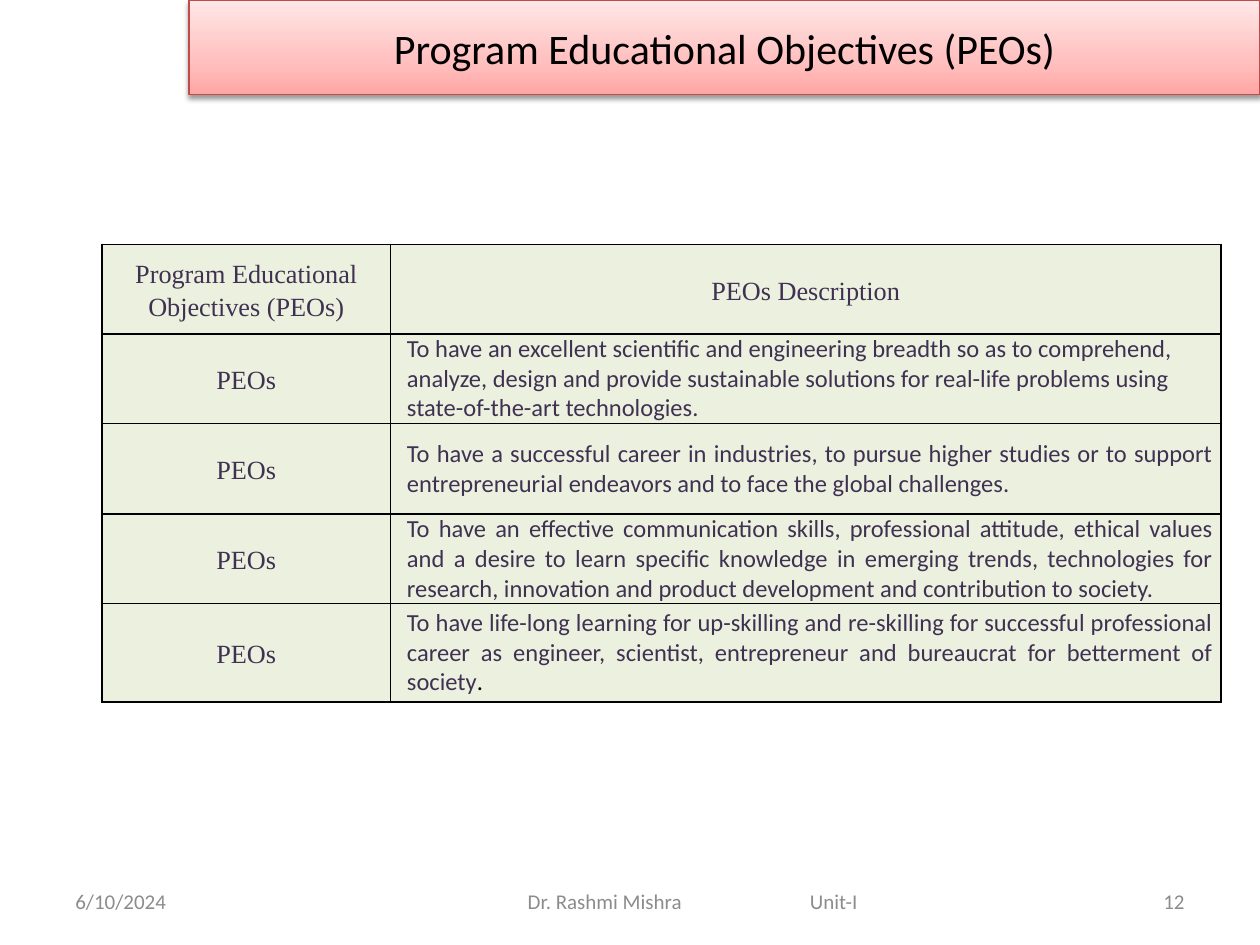
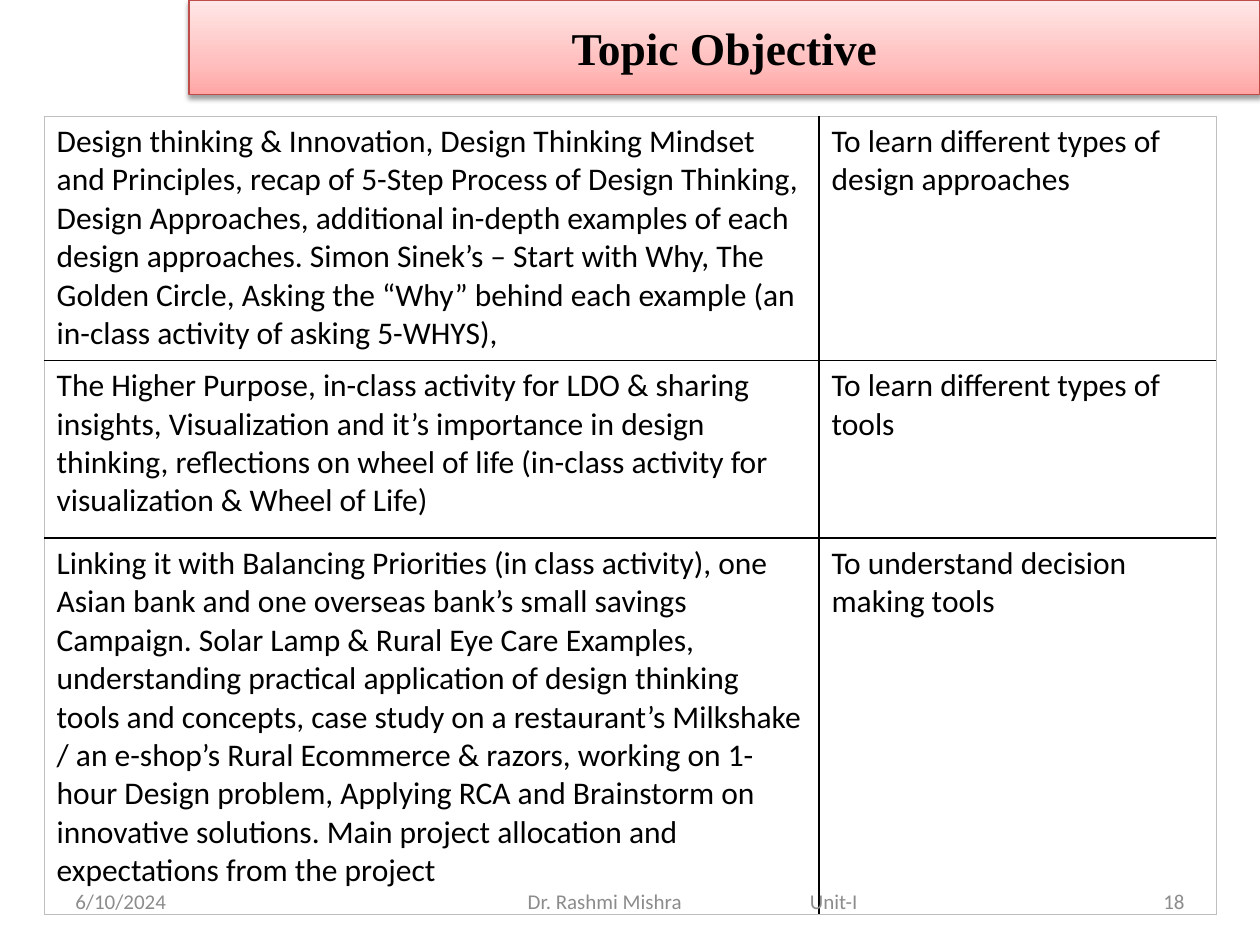
from lxml.etree import SubElement
from pptx import Presentation
from pptx.dml.color import RGBColor
from pptx.enum.text import MSO_ANCHOR, MSO_AUTO_SIZE, PP_ALIGN
from pptx.oxml import parse_xml
from pptx.oxml.ns import nsdecls, qn
from pptx.util import Inches, Pt

# Shared colours and fonts
BLACK = RGBColor(0x00, 0x00, 0x00)
PURPLE = RGBColor(0x40, 0x31, 0x52)
GREY = RGBColor(0x8C, 0x8C, 0x8C)
PALE_GREY = RGBColor(0xBF, 0xBF, 0xBF)
PALE_GREEN = RGBColor(0xEB, 0xF1, 0xDE)
BAND_LINE = RGBColor(0xBF, 0x4C, 0x48)
BAND_STOPS = [(0, RGBColor(0xFF, 0xA6, 0xA5)),
              (35, RGBColor(0xFF, 0xC0, 0xBF)),
              (100, RGBColor(0xFF, 0xE7, 0xE7))]
SANS, SERIF = "Calibri", "Times New Roman"

# Content
DATE, AUTHOR, UNIT = "6/10/2024", "Dr. Rashmi Mishra", "Unit-I"

PEO_TITLE = "Program Educational Objectives (PEOs)"
PEO_HEADER = (PEO_TITLE, "PEOs Description")
PEO_LABEL = "PEOs"
PEO_TEXTS = [
    "To have an excellent scientific and engineering breadth so as to comprehend, "
    "analyze, design and provide sustainable solutions for real-life problems using "
    "state-of-the-art technologies.",
    "To have a successful career in industries, to pursue higher studies or to support "
    "entrepreneurial endeavors and to face the global challenges.",
    "To have an effective communication skills, professional attitude, ethical values "
    "and a desire to learn specific knowledge in emerging trends, technologies for "
    "research, innovation and product development and contribution to society.",
    "To have life-long learning for up-skilling and re-skilling for successful "
    "professional career as engineer, scientist, entrepreneur and bureaucrat for "
    "betterment of society",
]
PEO_COLS = [2.29, 6.59]
PEO_ROWS = [0.71, 0.71, 0.72, 0.71, 0.78]

TOPIC_TITLE = "Topic Objective"
TOPICS = [
    ("Design thinking & Innovation, Design Thinking Mindset and Principles, recap of "
     "5-Step Process of Design Thinking, Design Approaches, additional in-depth examples "
     "of each design approaches. Simon Sinek’s – Start with Why, The Golden Circle, "
     "Asking the “Why” behind each example (an in-class activity of asking 5-WHYS),",
     "To learn different types of design approaches"),
    ("The Higher Purpose, in-class activity for LDO & sharing insights, Visualization "
     "and it’s importance in design thinking, reflections on wheel of life (in-class "
     "activity for visualization & Wheel of Life)",
     "To learn different types of tools"),
    ("Linking it with Balancing Priorities (in class activity), one Asian bank and one "
     "overseas bank’s small savings Campaign. Solar Lamp & Rural Eye Care Examples, "
     "understanding practical application of design thinking tools and concepts, case "
     "study on a restaurant’s Milkshake / an e-shop’s Rural Ecommerce & razors, "
     "working on 1- hour Design problem, Applying RCA and Brainstorm on innovative "
     "solutions. Main project allocation and expectations from the project",
     "To understand decision making tools"),
]
TOPIC_COLS = [6.15, 3.15]
TOPIC_ROWS = [1.94, 1.41, 2.99]


def write(tf, text, size=12, font=SANS, color=BLACK, bold=False,
          align=PP_ALIGN.LEFT, spacing=None):
    """Fill the first paragraph of a text frame and return it."""
    p = tf.paragraphs[0]
    p.alignment = align
    if spacing:
        p.line_spacing = spacing
    r = p.add_run()
    r.text = text
    r.font.size, r.font.name, r.font.bold = Pt(size), font, bold
    r.font.color.rgb = color
    return p


def add_title(slide, text, **fmt):
    """Turn the title placeholder into the shaded band at the top."""
    sp = slide.shapes.title
    sp.left, sp.top, sp.width, sp.height = map(Inches, (1.5, 0, 8.5, 0.75))
    stops = "".join(f'<a:gs pos="{pos * 1000}"><a:srgbClr val="{c}"/></a:gs>'
                    for pos, c in BAND_STOPS)
    sp._element.spPr.append(parse_xml(
        f'<a:gradFill {nsdecls("a")}><a:gsLst>{stops}</a:gsLst>'
        '<a:lin ang="16200000" scaled="0"/></a:gradFill>'))
    sp.line.color.rgb = BAND_LINE
    sp.line.width = Pt(0.75)
    sp._element.spPr.append(parse_xml(
        f'<a:effectLst {nsdecls("a")}><a:outerShdw blurRad="{Pt(3.1)}" '
        f'dist="{Pt(1.6)}" dir="5400000" rotWithShape="0"><a:srgbClr val="{BLACK}">'
        '<a:alpha val="38000"/></a:srgbClr></a:outerShdw></a:effectLst>'))
    tf = sp.text_frame
    tf.auto_size = MSO_AUTO_SIZE.NONE
    tf.vertical_anchor = MSO_ANCHOR.MIDDLE
    write(tf, text, align=PP_ALIGN.CENTER, **fmt)


def add_footer(slide, number):
    """Date at the left, author and unit in the middle, number at the right."""
    parts = [(0.5, 2.33, DATE, PP_ALIGN.LEFT),
             (4.09, 4.16, f"{AUTHOR}\t{UNIT}", PP_ALIGN.LEFT),
             (7.17, 2.33, str(number), PP_ALIGN.RIGHT)]
    for left, width, text, align in parts:
        box = slide.shapes.add_textbox(Inches(left), Inches(6.95),
                                       Inches(width), Inches(0.4))
        tf = box.text_frame
        tf.word_wrap = True
        tf.vertical_anchor = MSO_ANCHOR.MIDDLE
        if "\t" in text:
            tabs = SubElement(tf.paragraphs[0]._p.get_or_add_pPr(), qn("a:tabLst"))
            SubElement(tabs, qn("a:tab"), pos=str(Inches(2.24)), algn="l")
        write(tf, text, color=GREY, align=align)


def add_grid(slide, left, top, cols, rows, fill=None, outer=(BLACK, 1)):
    """Add a table with black inner borders and the given outer border."""
    tbl = slide.shapes.add_table(len(rows), len(cols), Inches(left), Inches(top),
                                 Inches(sum(cols)), Inches(sum(rows))).table
    tbl.first_row = tbl.horz_banding = False
    for col, width in zip(tbl.columns, cols):
        col.width = Inches(width)
    for row, height in zip(tbl.rows, rows):
        row.height = Inches(height)
    for i in range(len(rows)):
        for j in range(len(cols)):
            cell = tbl.cell(i, j)
            on_edge = {"L": j == 0, "R": j == len(cols) - 1,
                       "T": i == 0, "B": i == len(rows) - 1}
            tcPr = cell._tc.get_or_add_tcPr()
            for side, edge in on_edge.items():
                color, width = outer if edge else (BLACK, 1)
                tcPr.append(parse_xml(
                    f'<a:ln{side} {nsdecls("a")} w="{Pt(width)}"><a:solidFill>'
                    f'<a:srgbClr val="{color}"/></a:solidFill></a:ln{side}>'))
            if fill:
                cell.fill.solid()
                cell.fill.fore_color.rgb = fill
            else:
                cell.fill.background()
    return tbl


def build_peos(slide):
    add_title(slide, PEO_TITLE, size=24)
    tbl = add_grid(slide, 0.81, 1.94, PEO_COLS, PEO_ROWS, fill=PALE_GREEN)
    for cell in tbl.iter_cells():
        cell.vertical_anchor = MSO_ANCHOR.MIDDLE
        cell.margin_left = cell.margin_right = Inches(0.06)
        cell.margin_top = cell.margin_bottom = 0
    label = dict(size=15, font=SERIF, color=PURPLE, align=PP_ALIGN.CENTER, spacing=1.15)
    for j, text in enumerate(PEO_HEADER):
        write(tbl.cell(0, j).text_frame, text, **label)
    for i, text in enumerate(PEO_TEXTS, 1):
        write(tbl.cell(i, 0).text_frame, PEO_LABEL, **label)
        cell = tbl.cell(i, 1)
        cell.margin_left = Inches(0.13)
        write(cell.text_frame, text, size=14, color=PURPLE,
              align=PP_ALIGN.LEFT if i == 1 else PP_ALIGN.JUSTIFY)
    # The last full stop is black
    write(cell.text_frame, ".", size=14, align=PP_ALIGN.JUSTIFY)
    add_footer(slide, 12)


def build_topics(slide):
    add_title(slide, TOPIC_TITLE, size=26, font=SERIF, bold=True)
    tbl = add_grid(slide, 0.35, 0.92, TOPIC_COLS, TOPIC_ROWS, outer=(PALE_GREY, 0.5))
    for i, row in enumerate(TOPICS):
        for j, text in enumerate(row):
            write(tbl.cell(i, j).text_frame, text, size=18)
    add_footer(slide, 18)


def main():
    prs = Presentation()
    prs.slide_width, prs.slide_height = Inches(10), Inches(7.5)
    title_only = prs.slide_layouts[5]
    for build in (build_peos, build_topics):
        build(prs.slides.add_slide(title_only))
    prs.save("out.pptx")


if __name__ == "__main__":
    main()
